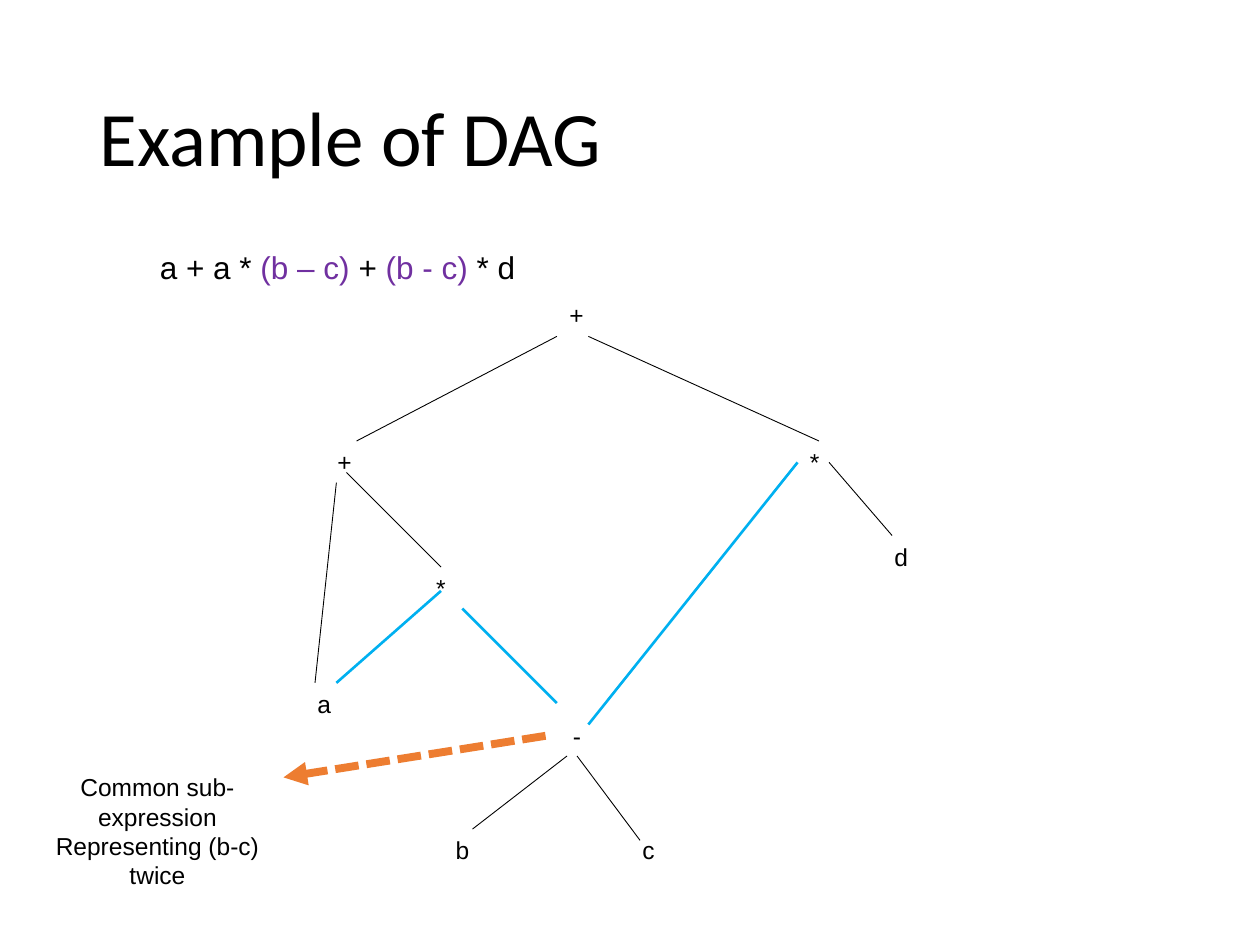
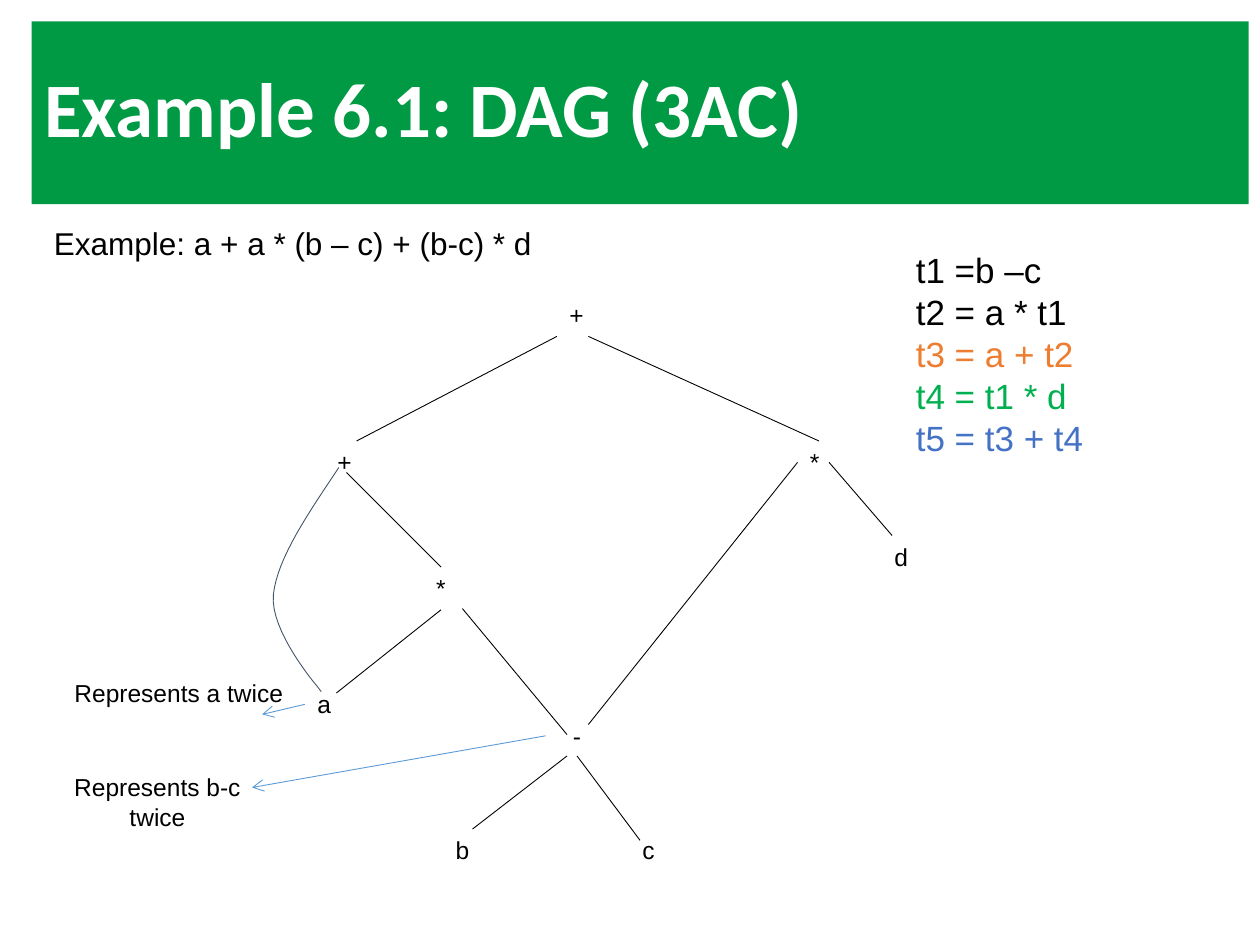
"""Build two slides that show an expression DAG and its three-address code."""
from dataclasses import dataclass
from typing import Any, Sequence

import lxml.etree
import pptx
import pptx.dml.color
import pptx.enum.dml
import pptx.enum.shapes
import pptx.enum.text
import pptx.oxml.ns
import pptx.util

Inches = pptx.util.Inches
Pt = pptx.util.Pt
qn = pptx.oxml.ns.qn
Align = pptx.enum.text.PP_ALIGN
Anchor = pptx.enum.text.MSO_ANCHOR
AutoSize = pptx.enum.text.MSO_AUTO_SIZE
Dash = pptx.enum.dml.MSO_LINE

BLACK, WHITE, PURPLE, CYAN = "000000", "FFFFFF", "7030A0", "00B0F0"
ORANGE, GREEN, BLUE, SKY, SLATE = "ED7D31", "00B050", "4472C4", "5B9BD5", "44546A"
BAND = "009A44"
THIN = 0.5

Point = tuple[float, float]
Box = tuple[float, float, float, float]
Run = tuple[str, str]


@dataclass(frozen=True)
class Label:
    text: str
    left: float
    top: float
    width: float = 0.5
    height: float = 0.34
    centred: bool = False


@dataclass(frozen=True)
class Edge:
    start: Point
    end: Point
    color: str = BLACK
    width: float = THIN
    head: str = ""
    dash: Any = None


NODES = (
    Label("+", 4.42, 2.33),
    Label("+", 2.58, 3.5),
    Label("*", 6.33, 3.5),
    Label("*", 3.25, 4.5, centred=True),
    Label("-", 4.33, 5.67, centred=True),
    Label("b", 3.42, 6.58, centred=True),
    Label("c", 5, 6.58),
    Label("a", 2.42, 5.42, 0.42),
    Label("d", 7, 4.25, 0.33),
)
TREE_EDGES = (
    Edge((4.42, 2.67), (2.83, 3.5)),
    Edge((4.67, 2.67), (6.5, 3.5)),
    Edge((2.75, 3.75), (3.5, 4.5)),
    Edge((6.58, 3.67), (7.08, 4.25)),
    Edge((4.5, 6), (3.75, 6.58)),
    Edge((4.58, 6), (5.08, 6.67)),
)
RIGHT_PRODUCT, MINUS = (6.33, 3.67), (4.67, 5.75)
MINUS_NOTE = (4.33, 5.84)
SHARED_EDGES = (
    Edge((3.67, 4.83), (4.42, 5.58), CYAN, 1.5),
    Edge((3.5, 4.69), (2.67, 5.42), CYAN, 1.5),
    Edge(RIGHT_PRODUCT, MINUS, CYAN, 1.5),
    Edge((2.67, 3.83), (2.5, 5.42)),
    Edge(MINUS_NOTE, (2.25, 6.17), ORANGE, 4.5, "triangle", Dash.SQUARE_DOT),
)
CODE_EDGES = (
    Edge((3.67, 4.83), (4.5, 5.83)),
    Edge((3.5, 4.84), (2.67, 5.5)),
    Edge(RIGHT_PRODUCT, MINUS),
    Edge((2.42, 5.59), (2.08, 5.67), SKY, THIN, "arrow"),
    Edge(MINUS_NOTE, (2, 6.25), SKY, THIN, "arrow"),
)
SHARED_NOTES = (
    Label("Common sub-expression Representing (b-c) twice", 0.25, 6.08, 2, 1.04, True),
)
CODE_NOTES = (
    Label("Represents b-c twice", 0.25, 6.08, 2, 0.57, True),
    Label("Represents a twice", 0.42, 5.33, 2, 0.34, True),
)
CODE = (
    ("t1 =b –c", BLACK),
    ("t2 = a * t1", BLACK),
    ("t3 = a + t2", ORANGE),
    ("t4 = t1 * d", GREEN),
    ("t5 = t3 + t4", BLUE),
)
LEFT_CURVE = (
    ((2.69, 3.71), (2.45, 4.07), (2.2, 4.43), (2.17, 4.72)),
    ((2.17, 4.72), (2.14, 5.01), (2.52, 5.45), (2.52, 5.45)),
)
CURVE_END = (2.55, 5.49)


def rgb(color: str) -> pptx.dml.color.RGBColor:
    """Turn a hex string into a colour."""
    return pptx.dml.color.RGBColor.from_string(color)


def inches(values: Sequence[float]) -> list[int]:
    """Convert numbers to lengths."""
    return [Inches(v) for v in values]


def apply(target: Any, formats: dict[str, Any]) -> None:
    """Set every attribute named in a dict of format values."""
    for name, value in formats.items():
        setattr(target, name, value)


def write(tf: Any, lines: Sequence[Sequence[Run]], size: float,
          align: Any = Align.LEFT, font: str = "Arial", bold: bool = False) -> None:
    """Fill a text frame with paragraphs of coloured runs."""
    for i, runs in enumerate(lines):
        p = tf.paragraphs[0] if i == 0 else tf.add_paragraph()
        p.alignment = align
        for text, color in runs:
            r = p.add_run()
            r.text = text
            apply(r.font, {"name": font, "size": Pt(size), "bold": bold})
            r.font.color.rgb = rgb(color)


def add_text(slide: Any, box: Box, runs: Sequence[Run], size: float,
             align: Any = Align.LEFT) -> None:
    """Add a wrapping text box with one paragraph."""
    tf = slide.shapes.add_textbox(*inches(box)).text_frame
    apply(tf, {"word_wrap": True, "auto_size": AutoSize.SHAPE_TO_FIT_TEXT})
    write(tf, [runs], size, align)


def add_label(slide: Any, label: Label) -> None:
    """Add a node letter or a note."""
    box = (label.left, label.top, label.width, label.height)
    align = Align.CENTER if label.centred else Align.LEFT
    add_text(slide, box, [(label.text, BLACK)], 14, align)


def add_edge(slide: Any, edge: Edge) -> None:
    """Add a straight line with an optional dash and arrowhead."""
    sp = slide.shapes.add_connector(
        pptx.enum.shapes.MSO_CONNECTOR.STRAIGHT, *inches(edge.start + edge.end))
    sp.line.color.rgb = rgb(edge.color)
    apply(sp.line, {"width": Pt(edge.width), "dash_style": edge.dash})
    props = sp._element.spPr
    if edge.head:
        lxml.etree.SubElement(props.find(qn("a:ln")), qn("a:tailEnd"), type=edge.head)
    lxml.etree.SubElement(props, qn("a:effectLst"))


def bezier(points: Sequence[Point], t: float) -> Point:
    """Return the point at t on a cubic curve."""
    weights = ((1 - t) ** 3, 3 * t * (1 - t) ** 2, 3 * t ** 2 * (1 - t), t ** 3)
    x, y = (sum(w * p[axis] for w, p in zip(weights, points)) for axis in (0, 1))
    return x, y


def add_curve(slide: Any, steps: int = 16) -> None:
    """Add the curved edge from the left sum to the shared operand."""
    points = [bezier(part, i / steps) for part in LEFT_CURVE for i in range(1, steps + 1)]
    builder = slide.shapes.build_freeform(*inches(LEFT_CURVE[0][0]))
    builder.add_line_segments([inches(pt) for pt in points + [CURVE_END]], close=False)
    sp = builder.convert_to_shape()
    sp.shadow.inherit = False
    sp.fill.background()
    sp.line.color.rgb = rgb(SLATE)
    sp.line.width = Pt(THIN)


def add_code(slide: Any) -> None:
    """Add the panel of three-address code."""
    sp = slide.shapes.add_shape(
        pptx.enum.shapes.MSO_SHAPE.RECTANGLE, *inches((7.17, 1.92, 2.42, 1.78)))
    sp.shadow.inherit = False
    sp.fill.solid()
    sp.fill.fore_color.rgb = rgb(WHITE)
    sp.line.fill.background()
    apply(sp.text_frame, {"word_wrap": True, "vertical_anchor": Anchor.TOP,
                          "auto_size": AutoSize.SHAPE_TO_FIT_TEXT})
    write(sp.text_frame, [[line] for line in CODE], 20)


def add_slide(prs: Any, title: str, box: Box, band: str = "") -> Any:
    """Add a slide with a title, on a coloured band if one is given."""
    slide = prs.slides.add_slide(prs.slide_layouts[5])
    sp = slide.shapes.title
    apply(sp, dict(zip(("left", "top", "width", "height"), inches(box))))
    if band:
        sp.fill.solid()
        sp.fill.fore_color.rgb = rgb(band)
    tf = sp.text_frame
    apply(tf, {"word_wrap": True, "auto_size": AutoSize.NONE,
               "vertical_anchor": Anchor.MIDDLE})
    write(tf, [[(title, WHITE if band else BLACK)]], 44, font="Calibri", bold=bool(band))
    tf.paragraphs[0].line_spacing = 0.9
    return slide


def add_dag(slide: Any, edges: Sequence[Edge], notes: Sequence[Label]) -> None:
    """Draw the common tree with the edges and notes of one slide."""
    for label in NODES + tuple(notes):
        add_label(slide, label)
    for edge in TREE_EDGES + tuple(edges):
        add_edge(slide, edge)


def main() -> None:
    """Build and save the presentation."""
    prs = pptx.Presentation()
    apply(prs, {"slide_width": Inches(10), "slide_height": Inches(7.5)})

    slide = add_slide(prs, "Example of DAG", (0.69, 0.4, 8.62, 1.45))
    expression = [("a + a * ", BLACK), ("(b – c) ", PURPLE), ("+ ", BLACK),
                  ("(b - c) ", PURPLE), ("* d", BLACK)]
    add_text(slide, (1.17, 1.92, 5.17, 0.4), expression, 18)
    add_dag(slide, SHARED_EDGES, SHARED_NOTES)

    slide = add_slide(prs, "Example 6.1: DAG (3AC)", (0.25, 0.17, 9.66, 1.45), BAND)
    expression = [("Example: a + a * (b – c) + (b-c) * d", BLACK)]
    add_text(slide, (0.33, 1.73, 5.17, 0.4), expression, 18)
    add_dag(slide, CODE_EDGES, CODE_NOTES)
    add_code(slide)
    add_curve(slide)

    prs.save("out.pptx")


if __name__ == "__main__":
    main()
